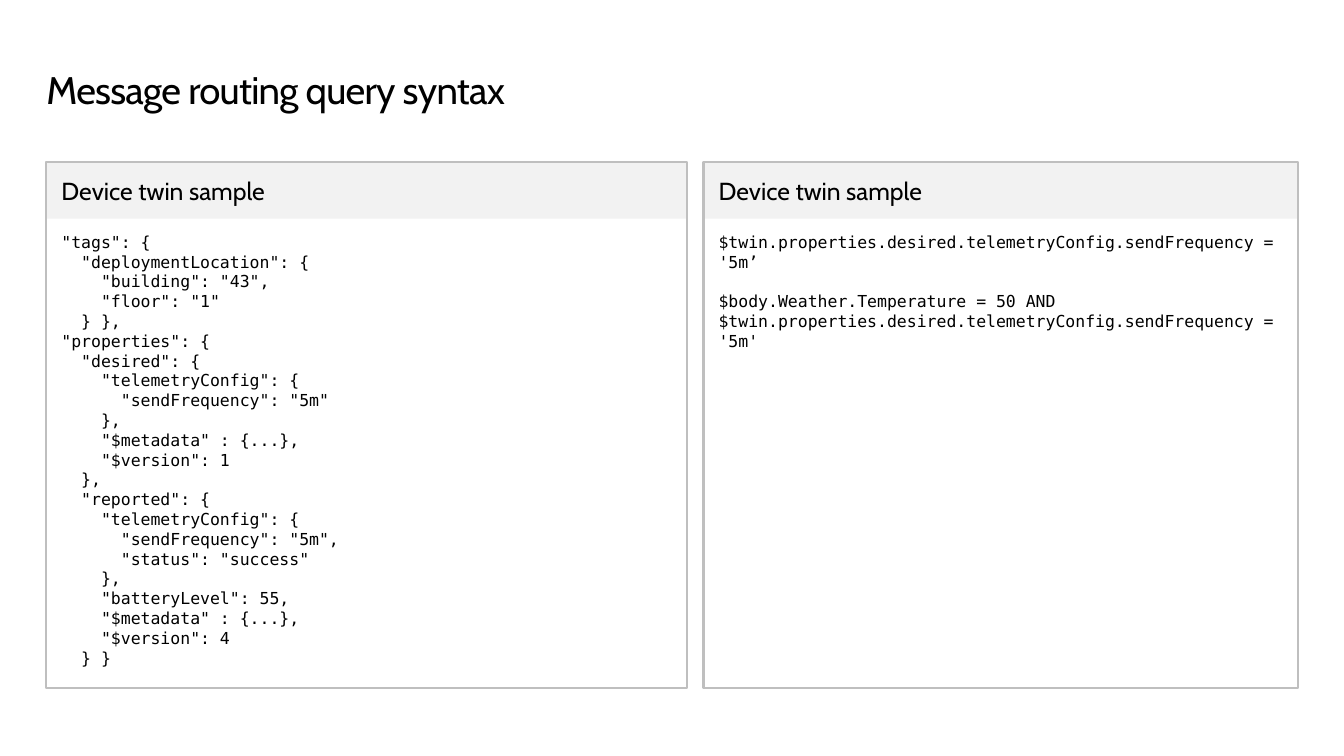
import pptx
import pptx.dml.color
import pptx.enum.shapes
import pptx.enum.text
import pptx.util

Pt = pptx.util.Pt
BLACK = pptx.dml.color.RGBColor(0x00, 0x00, 0x00)
HEADER_GRAY = pptx.dml.color.RGBColor(0xF2, 0xF2, 0xF2)
BORDER_GRAY = pptx.dml.color.RGBColor(0xBF, 0xBF, 0xBF)

LEFT_EDGE, RIGHT_EDGE = 33.1, 927
PANEL_TOP, PANEL_HEIGHT, HEADER_HEIGHT = 115.9, 375.8, 40.3
CODE_LINE = 14

DEVICE_TWIN = """\
"tags": {
  "deploymentLocation": {
    "building": "43",
    "floor": "1"
  } },
"properties": {
  "desired": {
    "telemetryConfig": {
      "sendFrequency": "5m"
    },
    "$metadata" : {...},
    "$version": 1
  },
  "reported": {
    "telemetryConfig": {
      "sendFrequency": "5m",
      "status": "success"
    },
    "batteryLevel": 55,
    "$metadata" : {...},
    "$version": 4
  } }"""

QUERIES = """\
$twin.properties.desired.telemetryConfig.sendFrequency = '5m’
$body.Weather.Temperature = 50 AND $twin.properties.desired.telemetryConfig.sendFrequency = '5m'"""


def apply_format(target, values):
    for name, value in values.items():
        setattr(target, name, value)


class SlideBuilder:
    title_font = {"name": "Cabin", "size": Pt(27.4)}
    header_font = {"name": "Cabin", "size": Pt(17.6)}
    code_font = {"name": "DejaVu Sans Mono", "size": Pt(11.8)}

    def __init__(self, presentation):
        self.slide = presentation.slides.add_slide(presentation.slide_layouts[5])

    def set_text(self, shape, text, font, margins, anchor, gap=0):
        left, top, right, bottom = margins
        frame = shape.text_frame
        apply_format(frame, {
            "text": text, "word_wrap": True, "vertical_anchor": anchor,
            "margin_left": Pt(left), "margin_top": Pt(top),
            "margin_right": Pt(right), "margin_bottom": Pt(bottom)})
        for index, paragraph in enumerate(frame.paragraphs):
            apply_format(paragraph, {
                "alignment": pptx.enum.text.PP_ALIGN.LEFT,
                "space_before": Pt(gap if index else 0)})
            for run in paragraph.runs:
                apply_format(run.font, font)
                run.font.color.rgb = BLACK

    def title(self, text):
        shape = self.slide.shapes.title
        apply_format(shape, {
            "left": Pt(LEFT_EDGE), "top": Pt(49),
            "width": Pt(RIGHT_EDGE - LEFT_EDGE), "height": Pt(31.7)})
        self.set_text(shape, text, self.title_font, (0, 0, 0, 0),
                      pptx.enum.text.MSO_ANCHOR.TOP)
        shape.text_frame.auto_size = pptx.enum.text.MSO_AUTO_SIZE.SHAPE_TO_FIT_TEXT
        paragraph = shape.text_frame.paragraphs[0]
        paragraph.line_spacing = Pt(31.4)
        paragraph.runs[0]._r.get_or_add_rPr().set("spc", "-50")

    def rectangle(self, left, width, height, fill=None, border=None):
        shape = self.slide.shapes.add_shape(
            pptx.enum.shapes.MSO_SHAPE.RECTANGLE,
            Pt(left), Pt(PANEL_TOP), Pt(width), Pt(height))
        shape.shadow.inherit = False
        if fill is None:
            shape.fill.background()
        else:
            shape.fill.solid()
            shape.fill.fore_color.rgb = fill
        if border is None:
            shape.line.fill.background()
        else:
            shape.line.color.rgb = border
            shape.line.width = Pt(1.5)
        return shape

    def panel(self, left, right, heading, code, gap=0):
        width = right - left
        header = self.rectangle(left, width, HEADER_HEIGHT, fill=HEADER_GRAY)
        self.set_text(header, heading, self.header_font, (10.8, 7.2, 10.8, 7.2),
                      pptx.enum.text.MSO_ANCHOR.MIDDLE)
        body = self.rectangle(left, width, PANEL_HEIGHT, border=BORDER_GRAY)
        self.set_text(body, code, self.code_font, (10.8, 49.7, 10.8, 7.2),
                      pptx.enum.text.MSO_ANCHOR.TOP, gap)


def main():
    presentation = pptx.Presentation()
    presentation.slide_width = Pt(960)
    presentation.slide_height = Pt(540)
    builder = SlideBuilder(presentation)
    builder.title("Message routing query syntax")
    builder.panel(LEFT_EDGE, 491, "Device twin sample", DEVICE_TWIN)
    builder.panel(502.5, RIGHT_EDGE, "Device twin sample", QUERIES, CODE_LINE)
    presentation.save("out.pptx")


if __name__ == "__main__":
    main()
